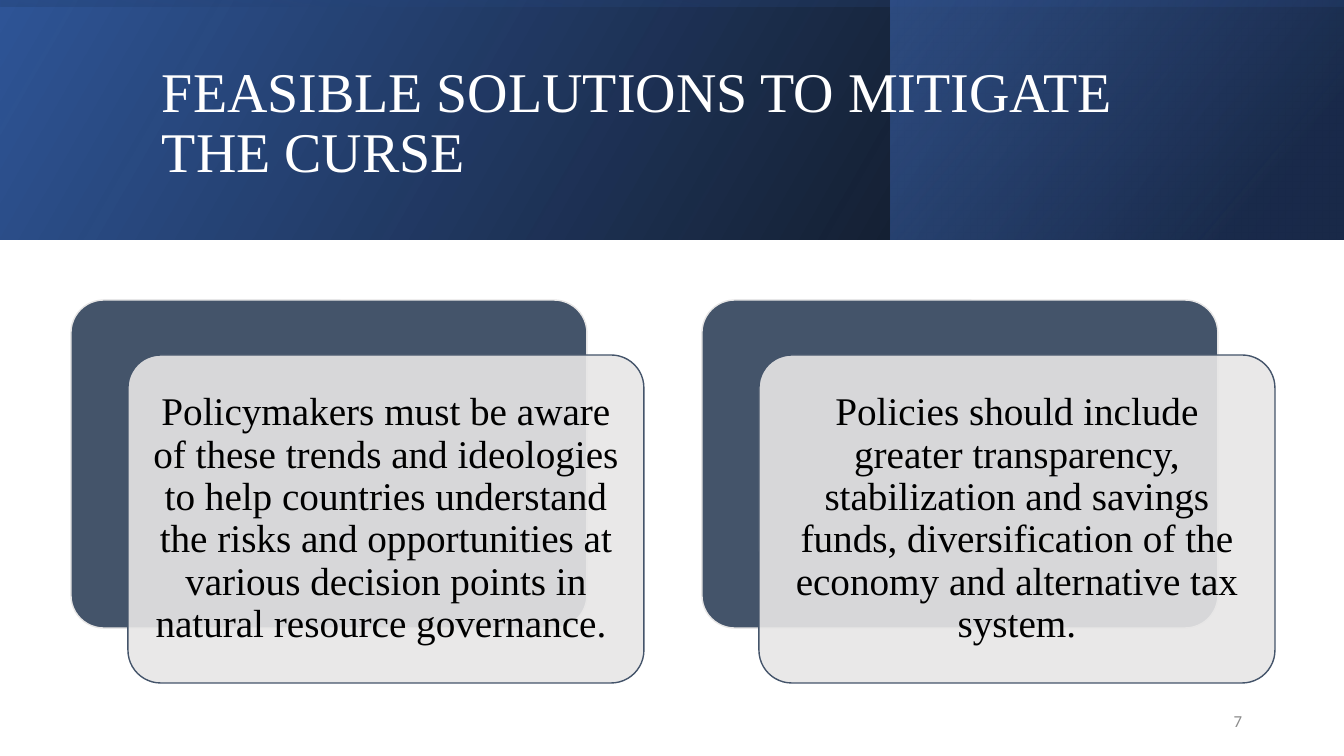
from lxml.etree import SubElement
from pptx import Presentation
from pptx.dml.color import RGBColor
from pptx.enum.shapes import MSO_SHAPE as Shape
from pptx.enum.text import MSO_ANCHOR as Anchor, PP_ALIGN as Align
from pptx.oxml.ns import qn
from pptx.util import Pt

EMU_PER_PX = 914400 / 100.8
SLIDE_WIDTH, SLIDE_HEIGHT = 1344, 756
BAND_HEIGHT = 240

WHITE = RGBColor(0xFF, 0xFF, 0xFF)
BLACK = RGBColor(0x00, 0x00, 0x00)
NAVY = RGBColor(0x20, 0x38, 0x64)
BLUE = RGBColor(0x2F, 0x55, 0x97)
LIGHT_BLUE = RGBColor(0x44, 0x72, 0xC4)
SLATE = RGBColor(0x44, 0x54, 0x6A)
PALE_GREY = RGBColor(0xE7, 0xE6, 0xE6)
NUMBER_GREY = RGBColor(0x8C, 0x8C, 0x8C)

SOLUTIONS = [
    "Policymakers must be aware of these trends and ideologies to help countries "
    "understand the risks and opportunities at various decision points in "
    "natural resource governance. ",
    "Policies should include greater transparency, stabilization and savings funds, "
    "diversification of the economy and alternative tax system.",
]


def px(length):
    return round(length * EMU_PER_PX)


def add_alpha(color_element, percent):
    SubElement(color_element, qn("a:alpha")).set("val", str(percent * 1000))


class SlideBuilder:
    serif = "Times New Roman"
    sans = "Calibri"

    def __init__(self, deck):
        self.slide = deck.slides.add_slide(deck.slide_layouts[6])

    def shape(self, kind, left, top, width, height):
        shape = self.slide.shapes.add_shape(
            kind, px(left), px(top), px(width), px(height))
        shape.shadow.inherit = False
        return shape

    def gradient(self, left, top, width, height, stops, angle, rotation=0):
        """Mirrored rectangle; stops are (position, colour, opacity)."""
        rect = self.shape(Shape.RECTANGLE, left, top, width, height)
        rect.rotation = rotation
        rect.line.fill.background()
        properties = rect._element.spPr
        properties.find(qn("a:xfrm")).set("flipH", "1")
        fill = properties.makeelement(qn("a:gradFill"), {"rotWithShape": "1"})
        stop_list = SubElement(fill, qn("a:gsLst"))
        for position, color, opacity in stops:
            stop = SubElement(stop_list, qn("a:gs"), pos=str(position * 1000))
            add_alpha(SubElement(stop, qn("a:srgbClr"), val=str(color)), opacity)
        SubElement(fill, qn("a:lin"), ang=str(angle * 60000), scaled="0")
        properties.find(qn("a:prstGeom")).addnext(fill)

    def card(self, left, top, width, height, fill, line, opacity=100):
        card = self.shape(Shape.ROUNDED_RECTANGLE, left, top, width, height)
        card.adjustments[0] = 0.1
        card.fill.solid()
        card.fill.fore_color.rgb = fill
        if opacity < 100:
            color = card._element.spPr.find(qn("a:solidFill"))[0]
            add_alpha(color, opacity)
        card.line.color.rgb = line
        card.line.width = Pt(1)
        return card

    def fill_text(self, box, text, size, color, font, align, spacing=1.0):
        frame = box.text_frame
        frame.word_wrap = True
        frame.vertical_anchor = Anchor.MIDDLE
        para = frame.paragraphs[0]
        para.text = text
        para.alignment = align
        para.line_spacing = spacing
        para.font.name = font
        para.font.size = Pt(size)
        para.font.color.rgb = color

    def text(self, left, top, width, height, *style):
        box = self.slide.shapes.add_textbox(
            px(left), px(top), px(width), px(height))
        self.fill_text(box, *style)

    def solution(self, left, top, text):
        width, height = 516, 328
        self.card(left, top, width, height, SLATE, PALE_GREY)
        front = self.card(left + 57, top + 55, width, height,
                          PALE_GREY, SLATE, opacity=90)
        frame = front.text_frame
        frame.margin_left = frame.margin_right = px(12)
        frame.margin_top = frame.margin_bottom = px(12)
        self.fill_text(front, text, 28, BLACK, self.serif, Align.CENTER, 0.9)


def main():
    deck = Presentation()
    deck.slide_width, deck.slide_height = px(SLIDE_WIDTH), px(SLIDE_HEIGHT)
    builder = SlideBuilder(deck)

    # Header band: three layered gradients, the last turned on its side
    builder.gradient(0, 0, SLIDE_WIDTH, BAND_HEIGHT,
                     [(0, BLACK, 96), (100, BLUE, 100)], 330)
    builder.gradient(891, 0, 452, BAND_HEIGHT,
                     [(19, NAVY, 68), (100, LIGHT_BLUE, 48)], 320)
    shift = (SLIDE_WIDTH - BAND_HEIGHT) // 2
    builder.gradient(shift, -shift, BAND_HEIGHT, SLIDE_WIDTH,
                     [(23, BLUE, 16), (99, BLACK, 45)], 350, rotation=270)

    # Title
    builder.text(152, 38, 1072, 173, "FEASIBLE SOLUTIONS TO MITIGATE THE CURSE",
                 40, WHITE, builder.serif, Align.LEFT, 0.9)

    # Solution cards
    for index, solution in enumerate(SOLUTIONS):
        builder.solution(71 + 631 * index, 300, solution)

    # Slide number
    builder.text(950, 701, 302, 40, "7", 12, NUMBER_GREY, builder.sans, Align.RIGHT)

    deck.save("out.pptx")


if __name__ == "__main__":
    main()
